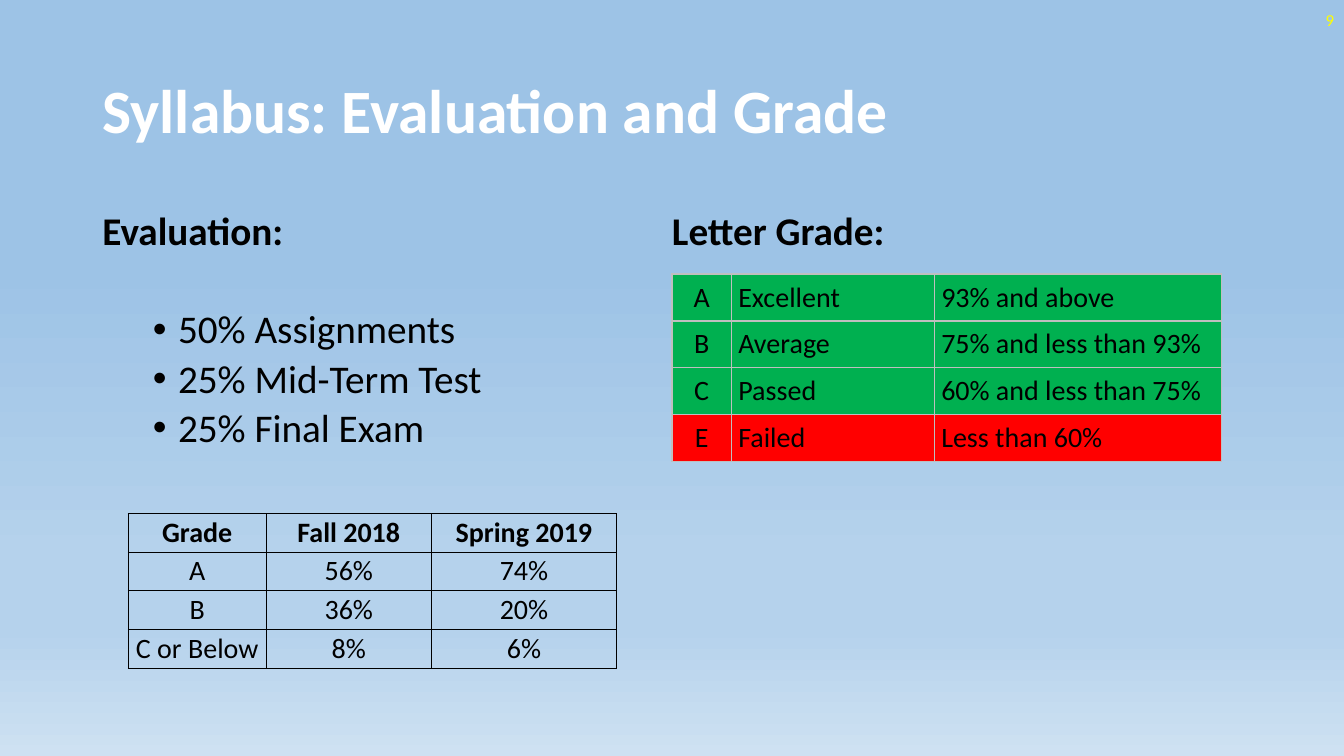
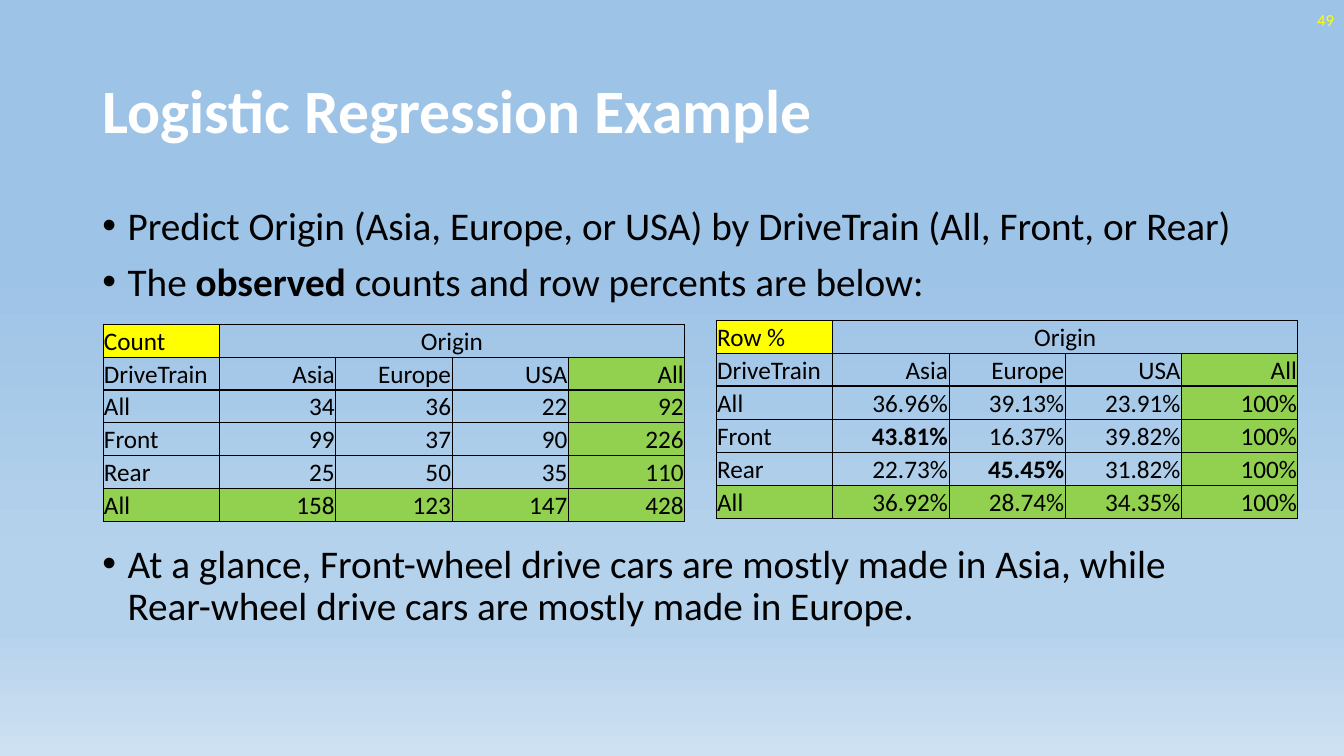
"""Build the evaluation slide and the logistic regression slide of a course deck."""
from dataclasses import dataclass

from lxml import etree
from pptx import Presentation
from pptx import util as u
from pptx.dml import color
from pptx.enum import text
from pptx.oxml import ns


@dataclass(frozen=True)
class Theme:
    """Colours, font and type sizes of the deck."""

    font: str = "Calibri"
    title: str = "FFFFFF"
    ink: str = "000000"
    number: str = "FFFF00"
    passed: str = "00B050"
    failed: str = "FF0000"
    corner: str = "FFFF00"
    total: str = "92D050"
    pale_rule: str = "BFBFBF"
    backdrop: tuple = ((35, "9DC3E6"), (74, "B5D2EC"), (83, "B5D2EC"), (100, "CEE1F2"))
    title_size: int = 44
    body_size: int = 28
    grade_size: int = 20
    count_size: int = 18
    number_size: int = 12


THEME = Theme()
LEFT, CENTER, RIGHT = text.PP_ALIGN.LEFT, text.PP_ALIGN.CENTER, text.PP_ALIGN.RIGHT
MIDDLE, TOP, BOTTOM = (text.MSO_ANCHOR.MIDDLE, text.MSO_ANCHOR.TOP,
                       text.MSO_ANCHOR.BOTTOM)
MARGIN, CONTENT_WIDTH = 66, 828


def add_element(parent, tag, **attributes):
    """Append a drawing element with the given attributes."""
    return etree.SubElement(parent, ns.qn(tag), attributes)


class Deck:
    """Draws styled elements on the current slide."""

    def __init__(self, theme):
        """Start a widescreen presentation with a gradient on its master."""
        self.theme = theme
        self.presentation = Presentation()
        self.presentation.slide_width = u.Pt(960)
        self.presentation.slide_height = u.Pt(540)
        self.slide = None
        self.paint_background()

    def paint_background(self):
        """Give the slide master the vertical gradient."""
        master = self.presentation.slide_master
        fill = master.background.fill
        fill.gradient()
        fill.gradient_angle = 270
        stops = next(master.element.iter(ns.qn("a:gsLst")))
        for stop in list(stops):
            stops.remove(stop)
        for percent, shade in self.theme.backdrop:
            stop = add_element(stops, "a:gs", pos=str(percent * 1000))
            add_element(stop, "a:srgbClr", val=shade)

    def add_slide(self, layout, title, number):
        """Add a slide with its title and page number."""
        self.slide = self.presentation.slides.add_slide(
            self.presentation.slide_layouts[layout])
        frame = self.place(0, MARGIN, 28.75, CONTENT_WIDTH, 104.4, MIDDLE)
        paragraph = frame.paragraphs[0]
        paragraph.alignment = LEFT
        paragraph.line_spacing = 0.9
        self.run(paragraph, title, self.theme.title_size, self.theme.title, True)
        self.page_number(number)

    def page_number(self, number):
        """Write the page number in the top right corner."""
        box = self.slide.shapes.add_textbox(u.Pt(744), u.Pt(0), u.Pt(216), u.Pt(28.8))
        frame = box.text_frame
        frame.word_wrap = True
        frame.vertical_anchor = MIDDLE
        paragraph = frame.paragraphs[0]
        paragraph.alignment = RIGHT
        self.run(paragraph, number, self.theme.number_size, self.theme.number)

    def place(self, index, left, top, width, height, anchor=TOP):
        """Move a placeholder and return its text frame."""
        shape = self.slide.placeholders[index]
        shape.left, shape.top = u.Pt(left), u.Pt(top)
        shape.width, shape.height = u.Pt(width), u.Pt(height)
        frame = shape.text_frame
        frame.word_wrap = True
        frame.auto_size = text.MSO_AUTO_SIZE.NONE
        frame.vertical_anchor = anchor
        return frame

    def run(self, paragraph, words, size, shade, bold=False):
        """Add one formatted run."""
        run = paragraph.add_run()
        run.text = words
        run.font.name = self.theme.font
        run.font.size = u.Pt(size)
        run.font.bold = bold
        run.font.color.rgb = color.RGBColor.from_string(shade)

    def body_paragraph(self, frame, runs, before=10, level=0, indent=18, bullet=True):
        """Add a body paragraph from (words, bold) pairs."""
        first = frame.paragraphs[0]
        paragraph = frame.add_paragraph() if first.runs else first
        paragraph.level = level
        paragraph.alignment = LEFT
        paragraph.line_spacing = 0.9
        paragraph.space_before = u.Pt(before)
        properties = paragraph._p.get_or_add_pPr()
        properties.set("marL", str(u.Pt(indent) if bullet else 0))
        properties.set("indent", str(u.Pt(-18) if bullet else 0))
        if bullet:
            add_element(properties, "a:buFont", typeface="Arial")
            add_element(properties, "a:buChar", char="•")
        else:
            add_element(properties, "a:buNone")
        for words, bold in runs:
            self.run(paragraph, words, self.theme.body_size, self.theme.ink, bold)

    def border(self, cell, heavy_sides, rule, weight):
        """Draw the four borders of a cell, some of them heavy."""
        properties = cell._tc.get_or_add_tcPr()
        for side in "LRTB":
            width = u.Pt(2 if side in heavy_sides else weight)
            line = add_element(properties, f"a:ln{side}", w=str(width))
            fill = add_element(line, "a:solidFill")
            add_element(fill, "a:srgbClr", val=rule)

    def table(self, left, top, widths, row_height, rows, look, size, anchor=MIDDLE,
              inset=0.7, rule=THEME.ink, weight=0.5, heavy_below=None, merge=None):
        """Add a table; look(row, column) gives alignment, fill and bold."""
        table = self.slide.shapes.add_table(
            len(rows), len(widths), u.Pt(left), u.Pt(top),
            u.Pt(sum(widths)), u.Pt(row_height * len(rows))).table
        table.first_row = table.horz_banding = False
        for column, width in zip(table.columns, widths):
            column.width = u.Pt(width)
        for row in table.rows:
            row.height = u.Pt(row_height)
        for i, row in enumerate(rows):
            heavy = "" if heavy_below is None else {
                heavy_below: "B", heavy_below + 1: "T"}.get(i, "")
            for j, words in enumerate(row):
                cell = table.cell(i, j)
                align, fill, bold = look(i, j)
                self.border(cell, heavy, rule, weight)
                cell.margin_left = cell.margin_right = u.Pt(inset)
                cell.margin_top = cell.margin_bottom = u.Pt(0)
                cell.vertical_anchor = anchor
                if fill:
                    cell.fill.solid()
                    cell.fill.fore_color.rgb = color.RGBColor.from_string(fill)
                else:
                    cell.fill.background()
                paragraph = cell.text_frame.paragraphs[0]
                paragraph.alignment = align
                if words:
                    self.run(paragraph, words, size, self.theme.ink, bold)
        if merge:
            start, end = merge
            table.cell(*start).merge(table.cell(*end))

    def cross_table(self, left, top, corner, values, strong=()):
        """Add a drive train by origin table with totals."""
        rows = [(corner, "Origin", "", "", ""),
                ("DriveTrain", "Asia", "Europe", "USA", "All"), *values]
        last_row, last_column = len(rows) - 1, len(rows[0]) - 1

        def look(i, j):
            """Tint the corner and the totals."""
            if i == 0:
                return (CENTER, None, False) if j else (LEFT, self.theme.corner, False)
            total = i == last_row or j == last_column
            return (RIGHT if j else LEFT, self.theme.total if total else None,
                    rows[i][j] in strong)

        self.table(left, top, [83.1] * len(rows[0]), 23.5, rows, look,
                   self.theme.count_size, BOTTOM, heavy_below=1,
                   merge=((0, 1), (0, last_column)))


def evaluation_slide(deck):
    """Draw the evaluation weights and the grade tables."""
    theme = deck.theme
    deck.add_slide(3, "Syllabus: Evaluation and Grade", "9")
    column = 406.8
    evaluation = deck.place(1, MARGIN, 147.5, column, 200)
    deck.body_paragraph(evaluation, [("Evaluation:", True)], bullet=False)
    weights = ("50% Assignments", "25% Mid-Term Test", "25% Final Exam")
    for position, weight in enumerate(weights):
        deck.body_paragraph(evaluation, [(weight, False)], before=5 if position else 40,
                            level=1, indent=54)
    letters = deck.place(2, MARGIN + column, 147.5, column, 44)
    deck.body_paragraph(letters, [("Letter Grade:", True)], bullet=False)

    grades = [("A", "Excellent", "93% and above"),
              ("B", "Average", "75% and less than 93%"),
              ("C", "Passed", "60% and less than 75%"),
              ("E", "Failed", "Less than 60%")]
    deck.table(480, 195.75, (42.4, 145, 205.4), 33.5, grades,
               lambda i, j: (LEFT if j else CENTER,
                             theme.failed if grades[i][0] == "E" else theme.passed, False),
               theme.grade_size, inset=5, rule=theme.pale_rule, weight=1)

    results = [("Grade", "Fall 2018", "Spring 2019"), ("A", "56%", "74%"),
               ("B", "36%", "20%"), ("C or Below", "8%", "6%")]
    deck.table(91.6, 366.7, (98.6, 118, 132.3), 27.6, results,
               lambda i, j: (CENTER, None, i == 0), theme.grade_size)


def regression_slide(deck):
    """Draw the observed counts and row percents."""
    deck.add_slide(1, "Logistic Regression Example", "49")
    body = deck.place(1, MARGIN, 143.75, CONTENT_WIDTH, 342.6)
    deck.body_paragraph(body, [("Predict Origin (Asia, Europe, or USA) by DriveTrain "
                                "(All, Front, or Rear)", False)])
    deck.body_paragraph(body, [("The ", False), ("observed", True),
                               (" counts and row percents are below:", False)])
    deck.body_paragraph(body, [("At a glance, Front-wheel drive cars are mostly made in "
                                "Asia, while Rear-wheel drive cars are mostly made in "
                                "Europe.", False)], before=171)
    deck.cross_table(73.6, 231.4, "Count", [
        ("All", "34", "36", "22", "92"),
        ("Front", "99", "37", "90", "226"),
        ("Rear", "25", "50", "35", "110"),
        ("All", "158", "123", "147", "428")])
    deck.cross_table(511.6, 228.9, "Row %", [
        ("All", "36.96%", "39.13%", "23.91%", "100%"),
        ("Front", "43.81%", "16.37%", "39.82%", "100%"),
        ("Rear", "22.73%", "45.45%", "31.82%", "100%"),
        ("All", "36.92%", "28.74%", "34.35%", "100%")], strong=("43.81%", "45.45%"))


deck = Deck(THEME)
evaluation_slide(deck)
regression_slide(deck)
deck.presentation.save("out.pptx")
